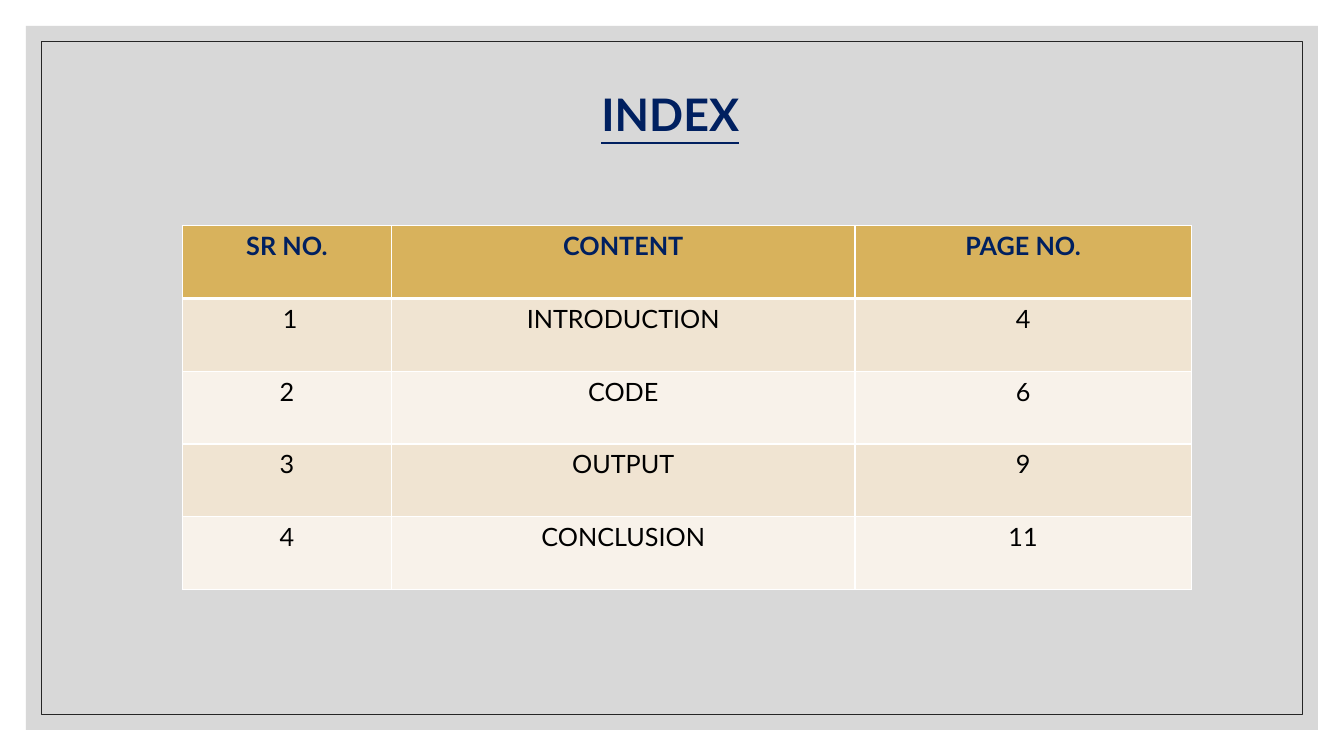
from lxml.etree import SubElement
from pptx import Presentation
from pptx.dml.color import RGBColor
from pptx.enum.shapes import MSO_SHAPE as Shape
from pptx.enum.text import MSO_AUTO_SIZE as AutoSize, PP_ALIGN as Align
from pptx.oxml.ns import qn
from pptx.util import Pt

# Content
TITLE = "INDEX"
INDEX_ROWS = [
    ("SR NO.", "CONTENT", "PAGE NO."),
    (" 1", "INTRODUCTION", "4"),
    ("2", "CODE", "6"),
    ("3", "OUTPUT", "9"),
    ("4", "CONCLUSION", "11"),
]

# Style and layout, in points
COLORS = {
    "panel": "BFBFBF", "frame": "262626", "navy": "002060", "text": "000000",
    "header": "D8B25C", "odd": "F0E4D2", "even": "F8F2EA", "border": "FFFFFF",
}
FONT = "Lato"
SLIDE_W, SLIDE_H = 960, 540
PANEL_INSET, FRAME_INSET = 18.6, 29.4
TITLE_BOX = (353.5, 58.3, 250.6, 46)
TABLE_LEFT, TABLE_TOP = 130.2, 161.2
COLUMN_WIDTHS = (149.5, 331, 240.2)
ROW_HEIGHT = 52


def color(name):
    return RGBColor.from_string(COLORS[name])


def add_inset_rectangle(slide, inset):
    rectangle = slide.shapes.add_shape(
        Shape.RECTANGLE, Pt(inset), Pt(inset),
        Pt(SLIDE_W - 2 * inset), Pt(SLIDE_H - 2 * inset))
    rectangle.shadow.inherit = False
    return rectangle


def write(text_frame, text, size, color_name, bold=False, underline=False):
    paragraph = text_frame.paragraphs[0]
    paragraph.alignment = Align.CENTER
    run = paragraph.add_run()
    run.text = text
    run.font.name = FONT
    run.font.size = Pt(size)
    run.font.bold = bold
    run.font.underline = underline
    run.font.color.rgb = color(color_name)


def add_borders(cell, widths):
    properties = cell._tc.get_or_add_tcPr()
    for side, width in widths.items():
        line = SubElement(properties, qn(f"a:ln{side}"), w=str(Pt(width)))
        fill = SubElement(line, qn("a:solidFill"))
        SubElement(fill, qn("a:srgbClr"), val=COLORS["border"])


def add_background(slide):
    # Translucent panel
    panel = add_inset_rectangle(slide, PANEL_INSET)
    panel.fill.solid()
    panel.fill.fore_color.rgb = color("panel")
    panel.line.fill.background()
    panel_color = panel.fill._xPr.find(qn("a:solidFill"))[0]
    SubElement(panel_color, qn("a:alpha"), val="60000")

    # Thin frame
    frame = add_inset_rectangle(slide, FRAME_INSET)
    frame.fill.background()
    frame.line.color.rgb = color("frame")
    frame.line.width = Pt(0.5)


def add_title(slide):
    title = slide.shapes.add_textbox(*map(Pt, TITLE_BOX)).text_frame
    title.word_wrap = True
    title.auto_size = AutoSize.SHAPE_TO_FIT_TEXT
    write(title, TITLE, 32, "navy", bold=True, underline=True)


def add_index(slide):
    index = slide.shapes.add_table(
        len(INDEX_ROWS), len(COLUMN_WIDTHS), Pt(TABLE_LEFT), Pt(TABLE_TOP),
        Pt(sum(COLUMN_WIDTHS)), Pt(ROW_HEIGHT * len(INDEX_ROWS))).table
    for column, width in zip(index.columns, COLUMN_WIDTHS):
        column.width = Pt(width)
    for r, entries in enumerate(INDEX_ROWS):
        index.rows[r].height = Pt(ROW_HEIGHT)
        is_header = r == 0
        band = "header" if is_header else "odd" if r % 2 else "even"
        for c, entry in enumerate(entries):
            cell = index.cell(r, c)
            # The rule under the header is thicker
            add_borders(cell, {"L": 1, "R": 1, "T": 3 if r == 1 else 1,
                               "B": 3 if is_header else 1})
            cell.fill.solid()
            cell.fill.fore_color.rgb = color(band)
            write(cell.text_frame, entry, 18,
                  "navy" if is_header else "text", bold=is_header)


def main():
    deck = Presentation()
    deck.slide_width, deck.slide_height = Pt(SLIDE_W), Pt(SLIDE_H)
    slide = deck.slides.add_slide(deck.slide_layouts[6])
    add_background(slide)
    add_title(slide)
    add_index(slide)
    deck.save("out.pptx")


if __name__ == "__main__":
    main()
